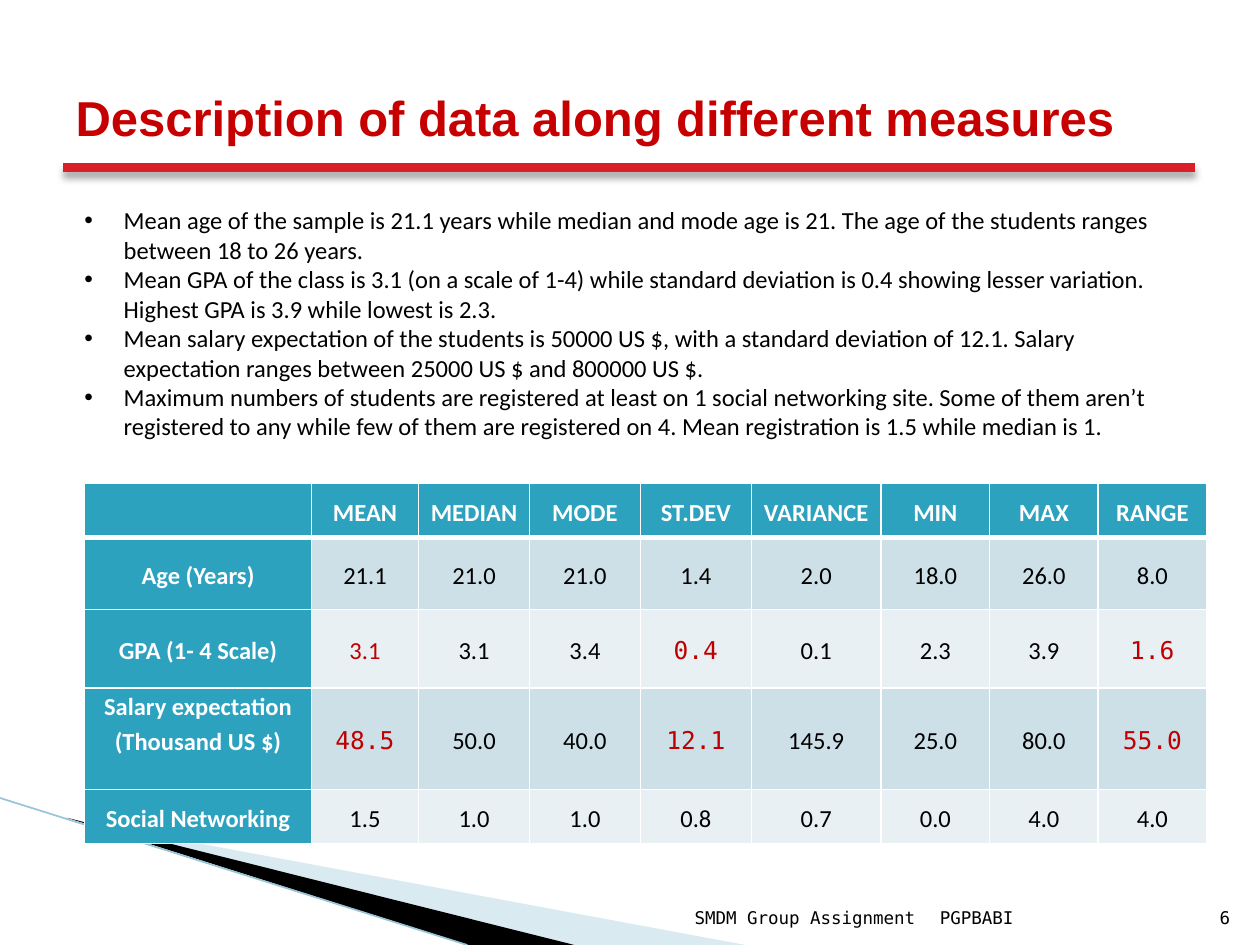
from typing import NamedTuple

from pptx import Presentation
from pptx.dml.color import RGBColor
from pptx.enum.shapes import MSO_CONNECTOR
from pptx.enum.text import MSO_ANCHOR, MSO_AUTO_SIZE, PP_ALIGN
from pptx.oxml import parse_xml
from pptx.oxml.ns import nsdecls
from pptx.util import Pt

BLACK = RGBColor(0x00, 0x00, 0x00)
WHITE = RGBColor(0xFF, 0xFF, 0xFF)
TITLE_RED = RGBColor(0xC6, 0x00, 0x00)
RULE_RED = RGBColor(0xDA, 0x1F, 0x28)
VALUE_RED = RGBColor(0xC0, 0x00, 0x00)
TEAL = RGBColor(0x2D, 0xA2, 0xBF)
PALE_BLUE = RGBColor(0xA0, 0xCB, 0xDC)
EDGE_BLUE = RGBColor(0x97, 0xC5, 0xD8)
BANDS = (RGBColor(0xCD, 0xE0, 0xE8), RGBColor(0xE8, 0xF0, 0xF4))
SANS, MONO, HEADING = "Calibri", "DejaVu Sans Mono", "Arial"


class Wedge(NamedTuple):
    """A filled corner outline, with its points in points."""
    points: tuple
    color: RGBColor
    alpha: int


class Rule(NamedTuple):
    """A straight line, with an optional soft shadow."""
    start: tuple
    end: tuple
    color: RGBColor
    width: float
    shadow: bool


class Footer(NamedTuple):
    """One part of the footer row."""
    text: str
    left: float
    width: float
    align: PP_ALIGN


class Row(NamedTuple):
    """A table row; red and mono list the columns set apart."""
    height: float
    cells: tuple
    red: tuple = ()
    mono: tuple = ()


WEDGES = (
    Wedge(((39.6, 468.2), (426, 540), (328.3, 540)), PALE_BLUE, 40),
    Wedge(((38.2, 467.3), (328.3, 540), (267.8, 540)), BLACK, 100),
)
RULES = (
    Rule((0, 456), (267, 540), EDGE_BLUE, 0.95, False),
    Rule((36, 95.8), (682.6, 95.8), RULE_RED, 5, True),
)
FOOTERS = (
    Footer("PGPBABI", 530, 151, PP_ALIGN.LEFT),
    Footer("SMDM Group Assignment", 345, 185, PP_ALIGN.RIGHT),
    Footer("6", 681, 29, PP_ALIGN.RIGHT),
)
FINDINGS = (
    "Mean age of the sample is 21.1 years while median and mode age is 21. "
    "The age of the students ranges between 18 to 26 years.",
    "Mean GPA of the class is 3.1 (on a scale of 1-4) while standard deviation "
    "is 0.4 showing lesser variation. Highest GPA is 3.9 while lowest is 2.3.",
    "Mean salary expectation of the students is 50000 US $, with a standard deviation "
    "of 12.1. Salary expectation ranges between 25000 US $ and 800000 US $.",
    "Maximum numbers of students are registered at least on 1 social networking site. "
    "Some of them aren’t registered to any while few of them are registered on 4. "
    "Mean registration is 1.5 while median is 1.",
)
COL_WIDTHS = (129.6, 61.2, 63.4, 63.4, 63.4, 74.2, 62, 62, 62)
ROWS = (
    Row(31, ("", "MEAN", "MEDIAN", "MODE", "ST.DEV", "VARIANCE", "MIN", "MAX", "RANGE")),
    Row(41, ("Age (Years)", "21.1", "21.0", "21.0", "1.4", "2.0", "18.0", "26.0", "8.0")),
    Row(45, ("GPA (1- 4 Scale)", "3.1", "3.1", "3.4", "0.4", "0.1", "2.3", "3.9", "1.6"),
        (1, 4, 8), (4, 8)),
    Row(58, ("Salary expectation (Thousand US $)", "48.5", "50.0", "40.0", "12.1",
             "145.9", "25.0", "80.0", "55.0"), (1, 4, 8), (1, 4, 8)),
    Row(31, ("Social Networking", "1.5", "1.0", "1.0", "0.8", "0.7", "0.0", "4.0", "4.0")),
)


def add_run(p, text: str, size: float, font: str, color: RGBColor, bold: bool = False) -> None:
    """Append a formatted run to a paragraph."""
    r = p.add_run()
    r.text = text
    r.font.size, r.font.name, r.font.bold = Pt(size), font, bold
    r.font.color.rgb = color


def place(sp, left: float, top: float, width: float, height: float) -> None:
    """Move and size a shape, in points."""
    sp.left, sp.top, sp.width, sp.height = Pt(left), Pt(top), Pt(width), Pt(height)


def add_wedge(s, wedge: Wedge) -> None:
    """Draw a corner wedge."""
    points = [(Pt(x), Pt(y)) for x, y in wedge.points]
    builder = s.shapes.build_freeform(*points[0])
    builder.add_line_segments(points[1:], close=True)
    sp = builder.convert_to_shape()
    sp.shadow.inherit = False
    sp.fill.solid()
    sp.fill.fore_color.rgb = wedge.color
    if wedge.alpha < 100:
        color = sp.element.xpath("./p:spPr/a:solidFill/a:srgbClr")[0]
        color.append(parse_xml(f'<a:alpha {nsdecls("a")} val="{wedge.alpha * 1000}"/>'))
    sp.line.fill.background()


def add_rule(s, rule: Rule) -> None:
    """Draw a straight line."""
    line = s.shapes.add_connector(
        MSO_CONNECTOR.STRAIGHT, *(Pt(v) for v in rule.start + rule.end))
    line.line.color.rgb = rule.color
    line.line.width = Pt(rule.width)
    shadow = (f'<a:outerShdw blurRad="{Pt(4)}" dist="{Pt(3)}" dir="5400000" rotWithShape="0">'
              '<a:srgbClr val="000000"><a:alpha val="35000"/></a:srgbClr></a:outerShdw>')
    line.element.spPr.append(parse_xml(
        f'<a:effectLst {nsdecls("a")}>{shadow if rule.shadow else ""}</a:effectLst>'))


def add_footer(s, footer: Footer) -> None:
    """Add one footer text."""
    tf = s.shapes.add_textbox(Pt(footer.left), Pt(505), Pt(footer.width), Pt(28.8)).text_frame
    tf.word_wrap = True
    tf.vertical_anchor = MSO_ANCHOR.BOTTOM
    p = tf.paragraphs[0]
    p.alignment = footer.align
    add_run(p, footer.text, 10, MONO, BLACK)


def fill_title(sp) -> None:
    """Set the slide title."""
    place(sp, 36, 21.6, 648, 90)
    tf = sp.text_frame
    tf.auto_size = MSO_AUTO_SIZE.NONE
    tf.vertical_anchor = MSO_ANCHOR.MIDDLE
    p = tf.paragraphs[0]
    p.alignment = PP_ALIGN.LEFT
    add_run(p, "Description of data along different measures", 28, HEADING, TITLE_RED, True)


def fill_findings(sp) -> None:
    """Set the bulleted findings."""
    place(sp, 41, 113.8, 643, 143)
    tf = sp.text_frame
    tf.auto_size = MSO_AUTO_SIZE.NONE
    for i, finding in enumerate(FINDINGS):
        p = tf.add_paragraph() if i else tf.paragraphs[0]
        p.space_before = Pt(0)
        pPr = p._p.get_or_add_pPr()
        pPr.set("marL", str(Pt(22.5)))
        pPr.set("indent", str(-Pt(22.5)))
        pPr.append(parse_xml(f'<a:buFont {nsdecls("a")} typeface="Arial"/>'))
        pPr.append(parse_xml(f'<a:buChar {nsdecls("a")} char="•"/>'))
        add_run(p, finding, 14, SANS, BLACK)


def set_borders(cell, top: float, bottom: float) -> None:
    """Give a cell white borders."""
    tcPr = cell._tc.get_or_add_tcPr()
    for side, width in (("L", 1), ("R", 1), ("T", top), ("B", bottom)):
        tcPr.append(parse_xml(
            f'<a:ln{side} {nsdecls("a")} w="{Pt(width)}"><a:solidFill>'
            f'<a:srgbClr val="{WHITE}"/></a:solidFill></a:ln{side}>'))


def add_measures(s) -> None:
    """Add the table of measures."""
    table = s.shapes.add_table(len(ROWS), len(COL_WIDTHS), Pt(48.4), Pt(276.2),
                               Pt(sum(COL_WIDTHS)), Pt(sum(r.height for r in ROWS))).table
    table.horz_banding = False
    for column, width in zip(table.columns, COL_WIDTHS):
        column.width = Pt(width)
    for i, row in enumerate(ROWS):
        table.rows[i].height = Pt(row.height)
        for j, text in enumerate(row.cells):
            cell = table.cell(i, j)
            head = i == 0 or j == 0
            set_borders(cell, 3 if i == 1 else 1, 3 if i == 0 else 1)
            cell.fill.solid()
            cell.fill.fore_color.rgb = TEAL if head else BANDS[(i - 1) % 2]
            cell.margin_left = cell.margin_right = Pt(5)
            cell.margin_top = cell.margin_bottom = Pt(0)
            two_lines = j == 0 and len(text) > 20
            cell.vertical_anchor = MSO_ANCHOR.TOP if two_lines else MSO_ANCHOR.MIDDLE
            if text:
                p = cell.text_frame.paragraphs[0]
                p.alignment, p.line_spacing = PP_ALIGN.CENTER, 1.15
                color = WHITE if head else VALUE_RED if j in row.red else BLACK
                add_run(p, text, 14, MONO if j in row.mono else SANS, color, head)


def main() -> None:
    """Build and save the slide."""
    prs = Presentation()
    prs.slide_width, prs.slide_height = Pt(720), Pt(540)
    s = prs.slides.add_slide(prs.slide_layouts[1])
    for wedge in WEDGES:
        add_wedge(s, wedge)
    for rule in RULES:
        add_rule(s, rule)
    for footer in FOOTERS:
        add_footer(s, footer)
    fill_title(s.shapes.title)
    fill_findings(s.placeholders[1])
    add_measures(s)
    prs.save("out.pptx")


main()
